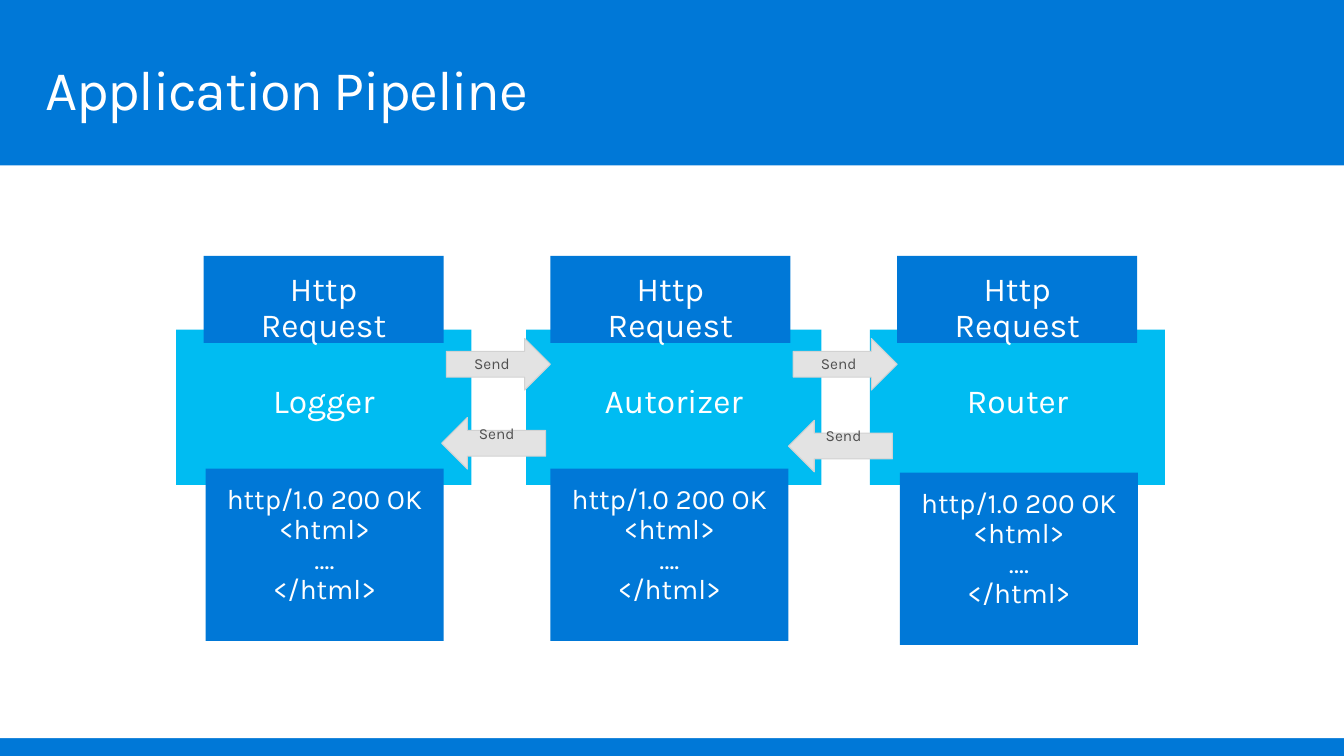
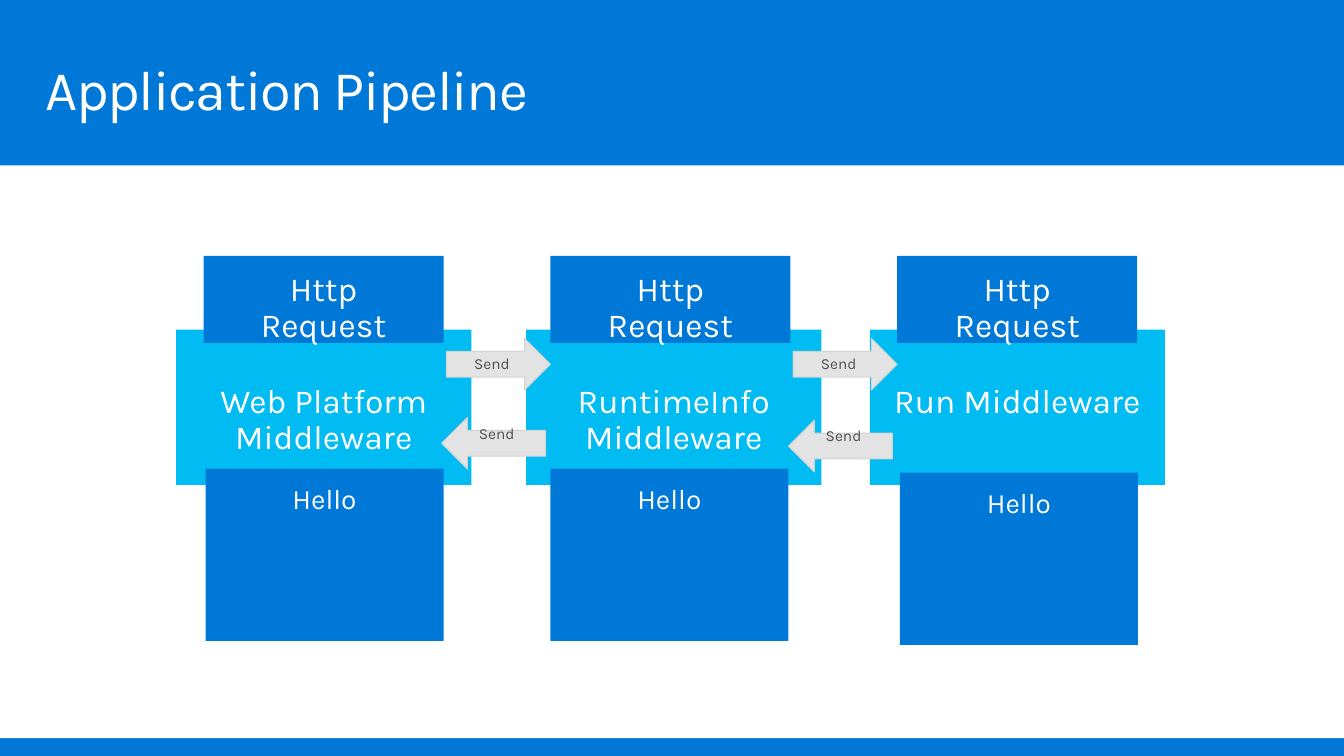
from pptx import Presentation
from pptx.dml.color import RGBColor
from pptx.enum.shapes import MSO_SHAPE
from pptx.enum.text import MSO_ANCHOR, PP_ALIGN
from pptx.util import Cm, Pt

COLORS = {
    "blue": "0078D7",
    "cyan": "00BCF2",
    "white": "FFFFFF",
    "arrow": "E3E3E3",
    "outline": "D2D2D2",
    "gray": "505050",
}
SLIDE_WIDTH, SLIDE_HEIGHT = 33.87, 19.05

# Column positions in cm
PITCH = 8.74
STAGE_LEFTS = (4.44, 13.26, 21.92)
RESPONSE_PLACES = ((5.18, 11.81), (13.87, 11.81), (22.68, 11.91))
BACK_ARROW_TOPS = (10.52, 10.59)

PIPELINES = [
    {
        "stages": [["Logger"], ["Autorizer"], ["Router"]],
        "response": ["http/1.0 200 OK", "<html>", "….", "</html>"],
    },
    {
        "stages": [["Web Platform Middleware"], ["RuntimeInfo", "Middleware"],
                   ["Run Middleware"]],
        "response": ["Hello"],
    },
]


def color(name):
    return RGBColor.from_string(COLORS[name])


class Deck:
    """Holds the shared style and the slide being drawn."""

    font = "Karla"

    def __init__(self):
        self.presentation = Presentation()
        self.presentation.slide_width = Cm(SLIDE_WIDTH)
        self.presentation.slide_height = Cm(SLIDE_HEIGHT)
        self.slide = None

    def add_slide(self, title):
        self.slide = self.presentation.slides.add_slide(self.presentation.slide_layouts[6])
        background = self.slide.background.fill
        background.solid()
        background.fore_color.rgb = color("blue")
        self.box((0, 4.17, SLIDE_WIDTH, 14.43), "white")
        self.title(title)

    def set_text(self, shape, lines, size, text_color="white", line_spacing=0.9,
                 align=PP_ALIGN.CENTER, anchor=MSO_ANCHOR.TOP, margins=(0.51, 0.41), top=None):
        side, edge = margins
        frame = shape.text_frame
        frame_format = {
            "word_wrap": True,
            "vertical_anchor": anchor,
            "margin_left": Cm(side),
            "margin_right": Cm(side),
            "margin_top": Cm(edge if top is None else top),
            "margin_bottom": Cm(edge),
        }
        for name, value in frame_format.items():
            setattr(frame, name, value)
        for index, line in enumerate(lines):
            paragraph = frame.add_paragraph() if index else frame.paragraphs[0]
            paragraph.alignment = align
            paragraph.line_spacing = line_spacing
            run = paragraph.add_run()
            run.text = line
            for name, value in {"name": self.font, "size": Pt(size)}.items():
                setattr(run.font, name, value)
            run.font.color.rgb = color(text_color)

    def text(self, place, lines, size, **style):
        shape = self.slide.shapes.add_textbox(*map(Cm, place))
        self.set_text(shape, lines, size, align=PP_ALIGN.LEFT, **style)
        return shape

    def title(self, text):
        shape = self.text((0.74, 0.28, 32.38, 2.49), [text], 40,
                          line_spacing=1.5, margins=(0.41, 0.25))
        run = shape.text_frame.paragraphs[0].runs[0]
        run.font._element.set("spc", "-100")

    def box(self, place, fill, kind=MSO_SHAPE.RECTANGLE, outline=None):
        shape = self.slide.shapes.add_shape(kind, *map(Cm, place))
        shape.shadow.inherit = False
        shape.fill.solid()
        shape.fill.fore_color.rgb = color(fill)
        if outline:
            shape.line.color.rgb = color(outline)
            shape.line.width = Pt(0.75)
        else:
            shape.line.fill.background()
        return shape

    def label_box(self, place, fill, lines, size, **style):
        self.set_text(self.box(place, fill), lines, size, **style)

    def arrow(self, left, top):
        return self.box((left, top, 2.62, 1.3), "arrow", MSO_SHAPE.RIGHT_ARROW, "outline")

    def forward_arrow(self, left, top):
        self.set_text(self.arrow(left, top), ["Send"], 11, "gray", anchor=MSO_ANCHOR.MIDDLE)

    def back_arrow(self, left, top):
        self.arrow(left, top).rotation = 180
        self.text((left + 0.43, top, 6.2, 1.27), ["Send"], 11, text_color="gray")

    def pipeline(self, stages, response):
        # Stages, with their labels set below the request boxes
        for left, lines in zip(STAGE_LEFTS, stages):
            self.label_box((left, 8.31, 7.44, 3.91), "cyan", lines, 24, top=1.38)
        # Requests above and responses below
        for column, (left, top) in enumerate(RESPONSE_PLACES):
            self.label_box((5.13 + column * PITCH, 6.45, 6.05, 2.19), "blue",
                           ["Http Request"], 24)
            self.label_box((left, top, 6, 4.34), "blue", response, 20)
        # Arrows between neighbouring stages
        for gap, top in enumerate(BACK_ARROW_TOPS):
            self.forward_arrow(11.25 + gap * PITCH, 8.53)
            self.back_arrow(11.13 + gap * PITCH, top)


def main():
    deck = Deck()
    for pipeline in PIPELINES:
        deck.add_slide("Application Pipeline")
        deck.pipeline(**pipeline)
    deck.presentation.save("out.pptx")


if __name__ == "__main__":
    main()
